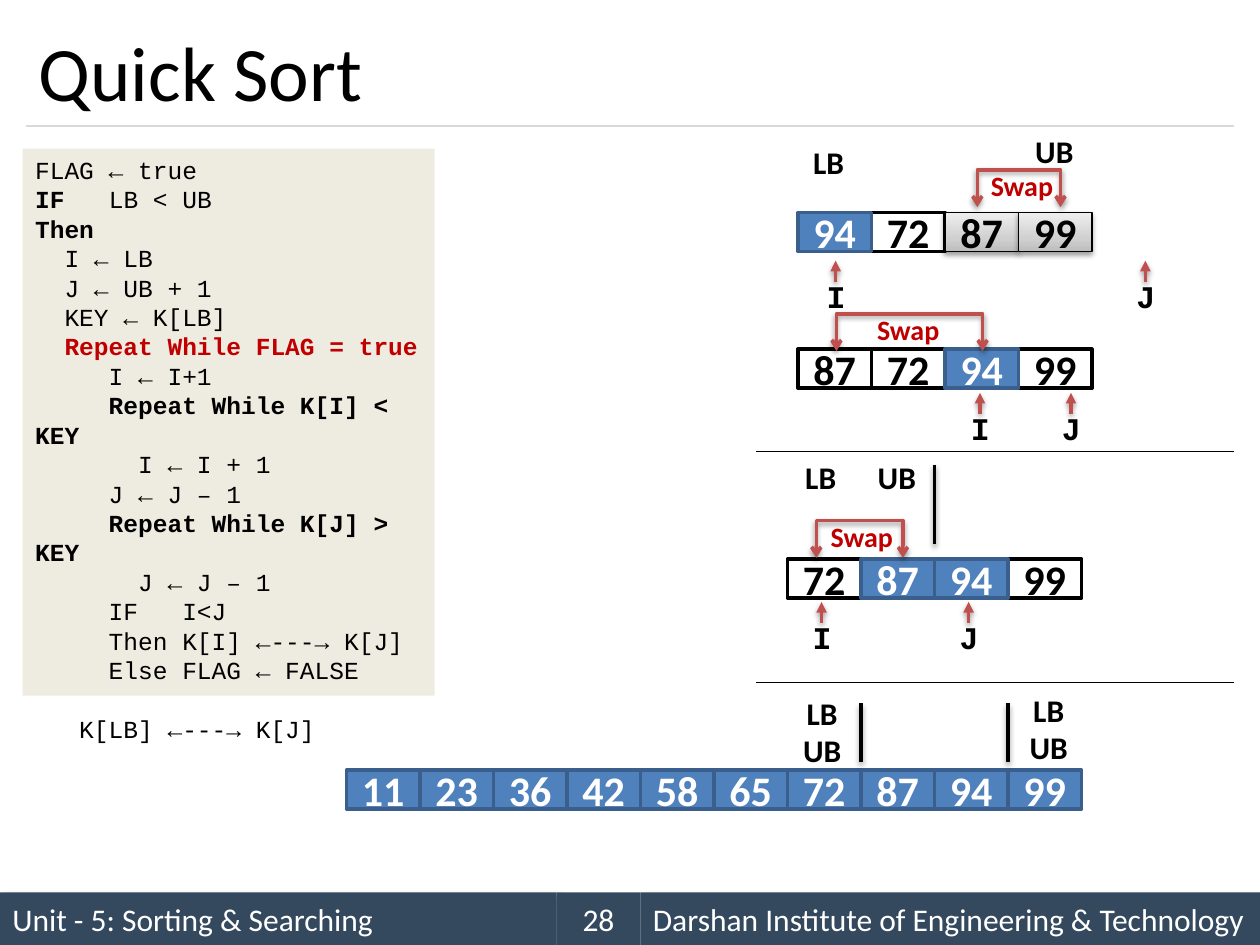
from lxml.etree import SubElement
from pptx import Presentation
from pptx.dml.color import RGBColor
from pptx.enum.shapes import MSO_CONNECTOR as CONN, MSO_SHAPE as SHAPE
from pptx.enum.text import MSO_ANCHOR as ANCHOR, PP_ALIGN as ALIGN
from pptx.oxml import parse_xml
from pptx.oxml.ns import nsdecls, qn
from pptx.util import Pt

BLACK, WHITE, RED, ARROW = "000000", "FFFFFF", "C00000", "C0504D"
BLUE, BLUE_EDGE, NAVY = "4F81BD", "3A5F8C", "34495E"
CELL_W, CELL_H = 42, 22.3
SOFT = (38, 3.1, 1.6, 90)
GRAY_STOPS = [(0, "BDBDBD"), (35, "D1D1D1"), (100, "EEEEEE")]

# Code lines as (text, bold, colour) runs
CODE = [
    [("FLAG ← true",)],
    [("IF   ", True), ("LB < UB",)],
    [("Then", True)],
    [("  I ← LB",)],
    [("  J ← UB + 1",)],
    [("  KEY ← K[LB]",)],
    [("  Repeat While FLAG = true", True, RED)],
    [("     I ← I+1",)],
    [("     Repeat While K[I] < KEY", True)],
    [("       I ← I + 1",)],
    [("     J ← J – 1",)],
    [("     Repeat While K[J] > KEY", True)],
    [("       J ← J – 1",)],
    [("     IF   I<J",)],
    [("     Then K[I] ←---→ K[J]",)],
    [("     Else FLAG ← FALSE",)],
    [("   K[LB] ←---→ K[J]",)],
]


def rgb(value):
    return RGBColor.from_string(value)


def add_run(p, text, size=18, font="Calibri", color=BLACK, bold=False):
    r = p.add_run()
    r.text = text
    r.font.size, r.font.name, r.font.bold = Pt(size), font, bold
    r.font.color.rgb = rgb(color)


def put_text(sp, text, align=ALIGN.CENTER, anchor=ANCHOR.MIDDLE, wrap=True, **fmt):
    tf = sp.text_frame
    tf.word_wrap, tf.vertical_anchor = wrap, anchor
    p = tf.paragraphs[0]
    p.alignment = align
    add_run(p, text, **fmt)


def add_shadow(sp, alpha, blur, dist, angle):
    spPr = sp._element.spPr
    effects = spPr.find(qn("a:effectLst"))
    if effects is None:
        effects = SubElement(spPr, qn("a:effectLst"))
    shadow = SubElement(effects, qn("a:outerShdw"), blurRad=str(Pt(blur)),
                        dist=str(Pt(dist)), dir=str(angle * 60000), rotWithShape="0")
    color = SubElement(shadow, qn("a:srgbClr"), val=BLACK)
    SubElement(color, qn("a:alpha"), val=str(alpha * 1000))


def add_arrowheads(sp, **ends):
    ln = sp._element.spPr.find(qn("a:ln"))
    for end, kind in ends.items():
        SubElement(ln, qn(f"a:{end}"), type=kind)


def add_rect(shapes, x, y, w, h, fill, edge=None, weight=2):
    sp = shapes.add_shape(SHAPE.RECTANGLE, Pt(x), Pt(y), Pt(w), Pt(h))
    sp.shadow.inherit = False
    sp.fill.solid()
    sp.fill.fore_color.rgb = rgb(fill)
    if edge:
        sp.line.color.rgb = rgb(edge)
        sp.line.width = Pt(weight)
    else:
        sp.line.fill.background()
    return sp


def add_line(shapes, x1, y1, x2, y2, color=BLACK, weight=2.0, shadow=None):
    line = shapes.add_connector(CONN.STRAIGHT, Pt(x1), Pt(y1), Pt(x2), Pt(y2))
    line.line.color.rgb = rgb(color)
    line.line.width = Pt(weight)
    SubElement(line._element.spPr, qn("a:effectLst"))
    if shadow:
        add_shadow(line, *shadow)
    return line


def add_label(shapes, text, cx, y, w=36, h=29, **fmt):
    tb = shapes.add_textbox(Pt(cx - w / 2), Pt(y), Pt(w), Pt(h))
    put_text(tb, text, anchor=ANCHOR.TOP, wrap=False, bold=True, **fmt)


def add_gray_gradient(sp):
    stops = "".join(f'<a:gs pos="{pos * 1000}"><a:srgbClr val="{color}"/></a:gs>'
                    for pos, color in GRAY_STOPS)
    grad = parse_xml(f'<a:gradFill {nsdecls("a")} rotWithShape="1"><a:gsLst>{stops}'
                     '</a:gsLst><a:lin ang="16200000" scaled="0"/></a:gradFill>')
    spPr = sp._element.spPr
    spPr.replace(spPr.find(qn("a:solidFill")), grad)


def add_array(shapes, x, y, values, styles):
    """Row of cells; styles holds w (white), b (blue) or g (gray) for each."""
    cells = list(enumerate(zip(values, styles)))
    # Blue and gray cells lie over the edges of the white ones
    for i, (value, style) in sorted(cells, key=lambda cell: cell[1][1] != "w"):
        fill, edge = (BLUE, BLUE_EDGE) if style == "b" else (WHITE, BLACK)
        sp = add_rect(shapes, x + i * CELL_W, y, CELL_W, CELL_H, fill, edge,
                      0.75 if style == "g" else 2)
        if style == "g":
            add_gray_gradient(sp)
            add_shadow(sp, *SOFT)
        put_text(sp, str(value), size=24, bold=True,
                 color=WHITE if style == "b" else BLACK)


def add_marker(shapes, letter, cx, tip):
    group = shapes.add_group_shape().shapes
    add_label(group, letter, cx, tip + 5.8, w=24.5, font="Courier New")
    arrow = add_line(group, cx, tip + 12, cx, tip, ARROW, shadow=SOFT)
    add_arrowheads(arrow, tailEnd="triangle")


def add_swap(shapes, x1, x2, y, label_cx):
    bottom = y + 21.3
    builder = shapes.build_freeform(Pt(x1), Pt(bottom))
    builder.add_line_segments([(Pt(x1), Pt(y)), (Pt(x2), Pt(y)), (Pt(x2), Pt(bottom))],
                              close=False)
    sp = builder.convert_to_shape()
    sp.shadow.inherit = False
    sp.fill.background()
    sp.line.color.rgb = rgb(ARROW)
    sp.line.width = Pt(2)
    add_arrowheads(sp, headEnd="arrow", tailEnd="arrow")
    add_shadow(sp, *SOFT)
    add_label(shapes, "Swap", label_cx, y - 4.4, w=50, h=26.6, size=16, color=RED)


def add_code(shapes):
    sp = add_rect(shapes, 13, 85, 235.4, 312.5, "EEECE1")
    tf = sp.text_frame
    tf.word_wrap, tf.vertical_anchor = True, ANCHOR.TOP
    for i, runs in enumerate(CODE):
        p = tf.paragraphs[0] if i == 0 else tf.add_paragraph()
        p.alignment, p.line_spacing = ALIGN.LEFT, Pt(16.8)
        for text, *style in runs:
            bold, color = (style + [False, BLACK][len(style):])
            add_run(p, text, 14, "Courier New", color, bold)
    p.space_before = Pt(16.8)


def add_footer(shapes):
    for x, w, text, align in [
        (0, 318, "Unit - 5: Sorting & Searching", ALIGN.LEFT),
        (366, 354, "Darshan Institute of Engineering & Technology", ALIGN.LEFT),
        (318, 48, "28", ALIGN.CENTER),
    ]:
        sp = add_rect(shapes, x, 510, w, 30, NAVY)
        if align == ALIGN.LEFT:
            add_shadow(sp, 40, 4, 3, 45)
        put_text(sp, text, align=align, color=WHITE)


def main():
    prs = Presentation()
    prs.slide_width, prs.slide_height = Pt(720), Pt(540)
    shapes = prs.slides.add_slide(prs.slide_layouts[5]).shapes

    # Title, rule and footer
    title = shapes.title
    title.left, title.top, title.width, title.height = Pt(15), Pt(8.6), Pt(690), Pt(63.4)
    put_text(title, "Quick Sort", align=ALIGN.LEFT, size=44)
    add_line(shapes, 15, 72, 705, 72, "D9D9D9", 0.75)
    add_footer(shapes)
    add_code(shapes)

    # Arrays
    add_array(shapes, 456, 121.5, [94, 72, 87, 99], "bwgg")
    add_array(shapes, 456, 199.5, [87, 72, 94, 99], "wwbw")
    add_array(shapes, 450, 319.5, [72, 87, 94, 99], "wbbw")
    add_array(shapes, 198, 440, [11, 23, 36, 42, 58, 65, 72, 87, 94, 99], "b" * 10)

    # Index markers
    for letter, cx, tip in [("I", 477.5, 149), ("J", 654.5, 149),
                            ("I", 560, 224.5), ("J", 612, 224.5),
                            ("I", 469.5, 344), ("J", 553.5, 344)]:
        add_marker(shapes, letter, cx, tip)

    # Swap brackets
    for x1, x2, y, label_cx in [(558.5, 606, 97, 584), (478, 561.5, 179.3, 519),
                                (466.5, 516, 297.5, 492.5)]:
        add_swap(shapes, x1, x2, y, label_cx)

    # Bounds
    for text, cx, y in [("LB", 473.5, 78), ("UB", 602.5, 72),
                        ("LB", 469, 258), ("UB", 512.5, 258)]:
        add_label(shapes, text, cx, y)
    for cx, y in [(469.8, 393), (599.3, 391.5)]:
        group = shapes.add_group_shape().shapes
        add_label(group, "LB", cx, y)
        add_label(group, "UB", cx, y + 21)

    # Step separators and partition bars
    for y in (258, 390):
        add_line(shapes, 432, y, 705, y, weight=0.75)
    for x, top, bottom in [(534, 265.5, 311), (492, 402, 435.5), (576, 402, 435.5)]:
        add_line(shapes, x, top, x, bottom, shadow=SOFT)

    prs.save("out.pptx")


if __name__ == "__main__":
    main()
